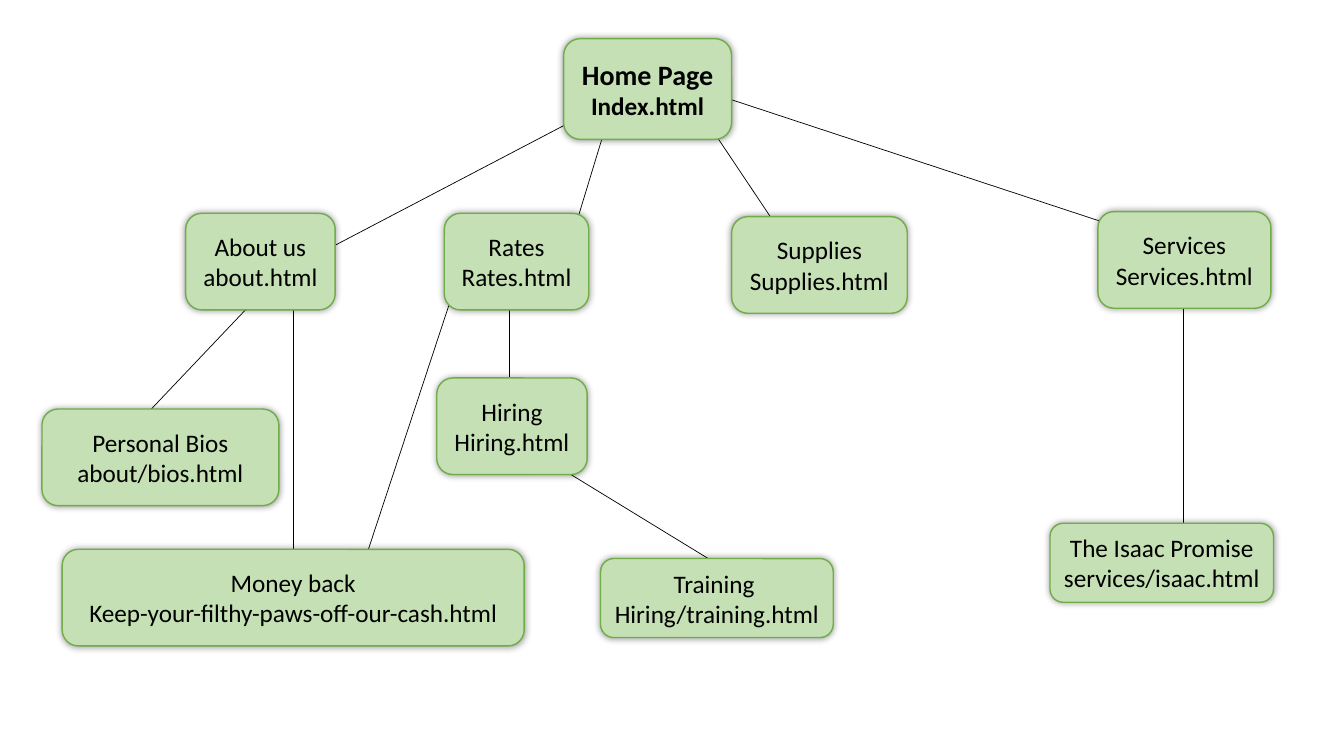
"""Build a site map slide: page boxes joined by link lines on a 160 by 90 grid."""
from dataclasses import dataclass

from lxml import etree
from pptx import Presentation
from pptx import util as u
from pptx.dml.color import RGBColor
from pptx.enum import shapes, text
from pptx.oxml import ns

COLUMNS, ROWS = 160, 90
GREEN_FILL = RGBColor(0xC5, 0xE0, 0xB4)
GREEN_LINE = RGBColor(0x70, 0xAD, 0x47)
BLACK = RGBColor(0x00, 0x00, 0x00)
FONT = "Calibri"


@dataclass(frozen=True)
class Page:
    title: str
    file: str
    col: float
    row: float
    cols: float
    rows: float = 11.5
    title_size: int = 18
    bold: bool = False
    wrap: bool = False


@dataclass(frozen=True)
class Link:
    col: float
    row: float
    to_col: float
    to_row: float


LINKS = [
    Link(140.9, 29.6, 82, 10.2),
    Link(37.6, 30.4, 69.7, 13.6),
    Link(66.5, 33.5, 73.4, 10.8),
    Link(97.6, 34.6, 80, 8.3),
    Link(140.9, 65.4, 140.9, 31.4),
    Link(43.3, 67.1, 55.4, 30.4),
    Link(85.3, 67.1, 59.8, 51.5),
    Link(34.9, 34.6, 34.9, 67.1),
    Link(31.4, 34.6, 16.3, 50.5),
    Link(60.6, 47, 60.6, 34.6),
]

PAGES = [
    Page("Training ", "Hiring/training.html", 71.5, 66.5, 27.7, rows=9.4),
    Page("Home Page", "Index.html", 67.1, 4.6, 20, rows=12, title_size=20, bold=True),
    Page("Services", "Services.html", 130.7, 25.2, 20.6),
    Page("About us", "about.html", 22.1, 25.4, 17.8),
    Page("Supplies", "Supplies.html", 87.1, 25.8, 20.9),
    Page("Rates", "Rates.html", 52.9, 25.4, 17.2),
    Page("Money back", "Keep-your-filthy-paws-off-our-cash.html", 7.4, 65.4, 55),
    Page("Hiring", "Hiring.html", 52, 45, 17.9),
    Page("Personal Bios", "about/bios.html", 5, 48.7, 28.2, wrap=True),
    Page("The Isaac Promise", "services/isaac.html", 125, 62.3, 26.6, rows=9.4),
]

prs = Presentation()
prs.slide_width, prs.slide_height = u.Inches(13.33), u.Inches(7.5)
s = prs.slides.add_slide(prs.slide_layouts[6])


def x(cols: float) -> int:
    return round(prs.slide_width * cols / COLUMNS)


def y(rows: float) -> int:
    return round(prs.slide_height * rows / ROWS)


def add_link(link: Link) -> None:
    line = s.shapes.add_connector(
        shapes.MSO_CONNECTOR.STRAIGHT,
        x(link.col), y(link.row), x(link.to_col), y(link.to_row))
    line.line.color.rgb = BLACK
    line.line.width = u.Pt(0.5)
    etree.SubElement(line.line._get_or_add_ln(), ns.qn("a:tailEnd"), type="triangle")
    etree.SubElement(line._element.spPr, ns.qn("a:effectLst"))


def add_glow_shadow(sp) -> None:
    sp.shadow.inherit = False
    effects = sp._element.spPr.find(ns.qn("a:effectLst"))
    shadow = etree.SubElement(
        effects, ns.qn("a:outerShdw"), blurRad=str(u.Pt(5)), dist="0", dir="0",
        algn="ctr", rotWithShape="0")
    color = etree.SubElement(shadow, ns.qn("a:srgbClr"), val=str(BLACK))
    etree.SubElement(color, ns.qn("a:alpha"), val="40000")


def add_page(page: Page) -> None:
    sp = s.shapes.add_shape(
        shapes.MSO_SHAPE.ROUNDED_RECTANGLE,
        x(page.col), y(page.row), x(page.cols), y(page.rows))
    sp.fill.solid()
    sp.fill.fore_color.rgb = GREEN_FILL
    sp.line.color.rgb = GREEN_LINE
    sp.line.width = u.Pt(1)
    add_glow_shadow(sp)
    tf = sp.text_frame
    tf.word_wrap = page.wrap
    tf.vertical_anchor = text.MSO_ANCHOR.MIDDLE
    p = tf.paragraphs[0]
    add_line(p, page.title, page.title_size, page.bold)
    add_line(tf.add_paragraph(), page.file, 18, page.bold)


def add_line(p, words: str, size: int, bold: bool) -> None:
    p.alignment = text.PP_ALIGN.CENTER
    r = p.add_run()
    r.text = words
    r.font.name = FONT
    r.font.size = u.Pt(size)
    r.font.bold = bold
    r.font.color.rgb = BLACK


for link in LINKS:
    add_link(link)
for page in PAGES:
    add_page(page)
prs.save("out.pptx")
